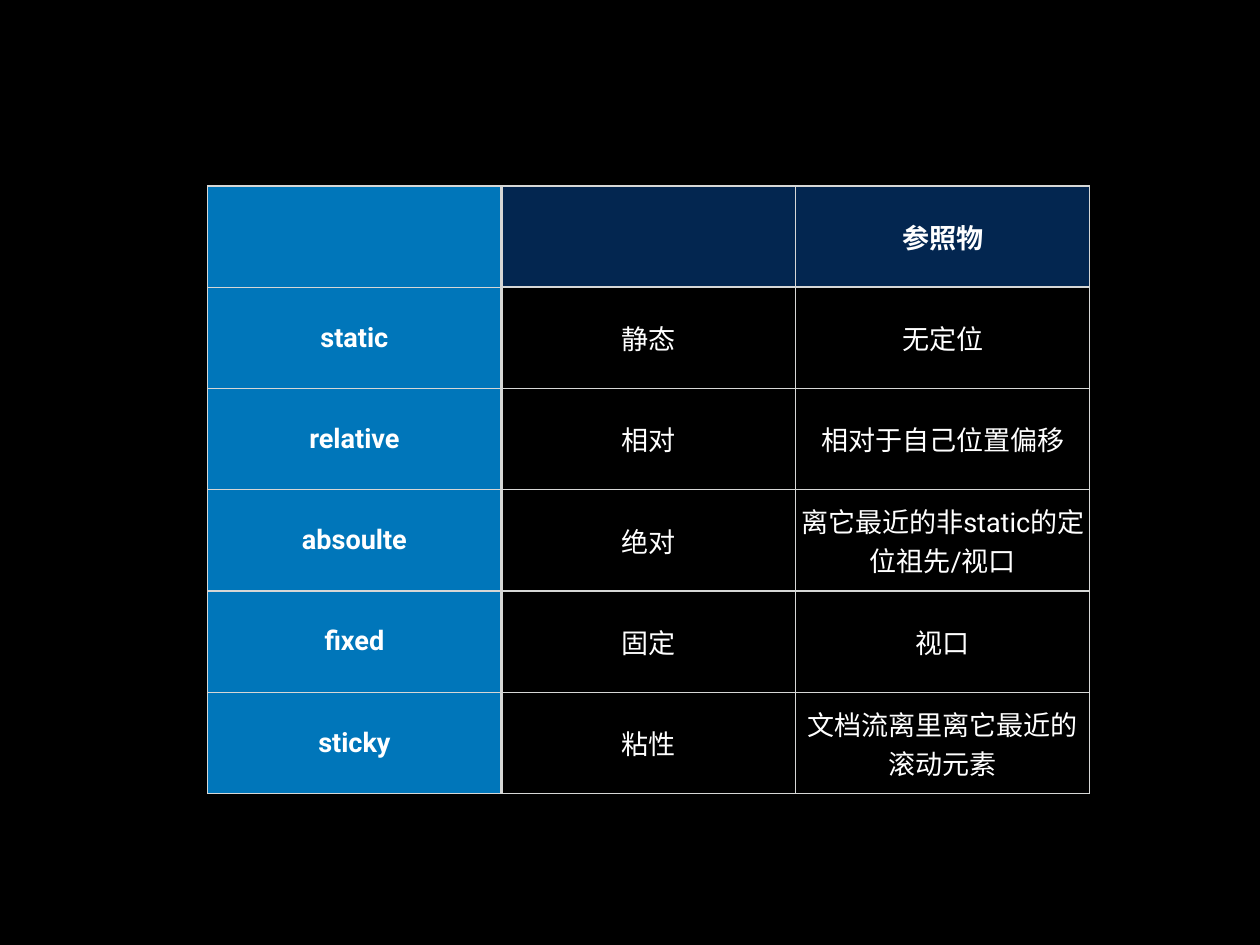
from pptx import Presentation
from pptx import util as u
from pptx.dml.color import RGBColor
from pptx.enum import text
from pptx.oxml import parse_xml
from pptx.oxml.ns import nsdecls

# Content: CSS position value, its meaning, its reference
POSITIONS = [
    ("", "", "参照物"),
    ("static", "静态", "无定位"),
    ("relative", "相对", "相对于自己位置偏移"),
    ("absoulte", "绝对", "离它最近的非static的定位祖先/视口"),
    ("fixed", "固定", "视口"),
    ("sticky", "粘性", "文档流离里离它最近的滚动元素"),
]

# Colours and formats
BLACK = RGBColor(0x00, 0x00, 0x00)
WHITE = RGBColor(0xFF, 0xFF, 0xFF)
NAVY = RGBColor(0x03, 0x26, 0x50)
BLUE = RGBColor(0x00, 0x76, 0xBA)
GREY = RGBColor(0xD6, 0xD7, 0xD6)
INSET = u.Inches(0.06)
CELL_FORMAT = {
    "vertical_anchor": text.MSO_ANCHOR.MIDDLE,
    "margin_left": INSET, "margin_top": INSET,
    "margin_right": INSET, "margin_bottom": INSET,
}
FONT_FORMAT = {"name": "Roboto", "size": u.Pt(22)}
TABLE_AT = [u.Inches(n) for n in (2.34, 2.1, 9.96, 6.86)]


def apply_format(target, values):
    for name, value in values.items():
        setattr(target, name, value)


def add_borders(cell, widths):
    """Draw the cell's four sides, given in points as left, right, top, bottom."""
    for side, width in zip("LRTB", widths):
        cell._tc.get_or_add_tcPr().append(parse_xml(
            f'<a:ln{side} {nsdecls("a")} w="{u.Pt(width)}">'
            f'<a:solidFill><a:srgbClr val="{GREY}"/></a:solidFill></a:ln{side}>'))


def fill_cell(cell, row, col, words):
    apply_format(cell, CELL_FORMAT)
    # Heavier rules under the header and beside the first column
    add_borders(cell, (2 if col == 1 else 1, 2 if col == 0 else 1,
                       2 if row == 1 and col else 1, 2 if row == 0 and col else 1))
    if row == 0 or col == 0:
        cell.fill.solid()
        cell.fill.fore_color.rgb = BLUE if col == 0 else NAVY
    else:
        cell.fill.background()
    paragraph = cell.text_frame.paragraphs[0]
    paragraph.alignment = text.PP_ALIGN.CENTER
    if words:
        run = paragraph.add_run()
        run.text = words
        apply_format(run.font, FONT_FORMAT)
        run.font.bold = row == 0 or col == 0
        run.font.color.rgb = WHITE


def main():
    deck = Presentation()
    deck.slide_width, deck.slide_height = u.Inches(14.22), u.Inches(10.67)
    slide = deck.slides.add_slide(deck.slide_layouts[6])
    slide.background.fill.solid()
    slide.background.fill.fore_color.rgb = BLACK

    # Position table
    positions = slide.shapes.add_table(
        len(POSITIONS), len(POSITIONS[0]), *TABLE_AT).table
    apply_format(positions, {"first_col": True, "horz_banding": False})
    for row, entry in enumerate(POSITIONS):
        for col, words in enumerate(entry):
            fill_cell(positions.cell(row, col), row, col, words)

    deck.save("out.pptx")


if __name__ == "__main__":
    main()
